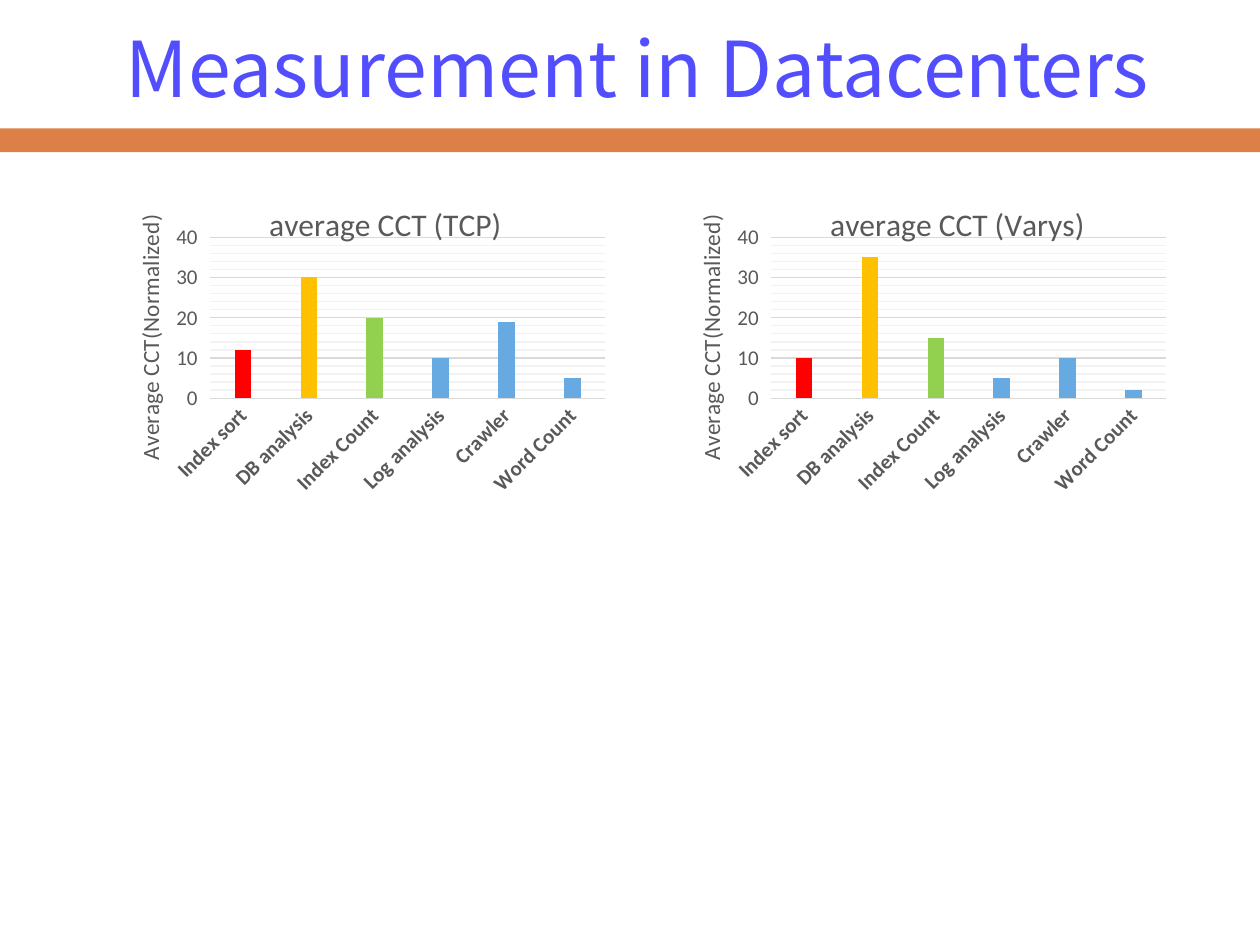
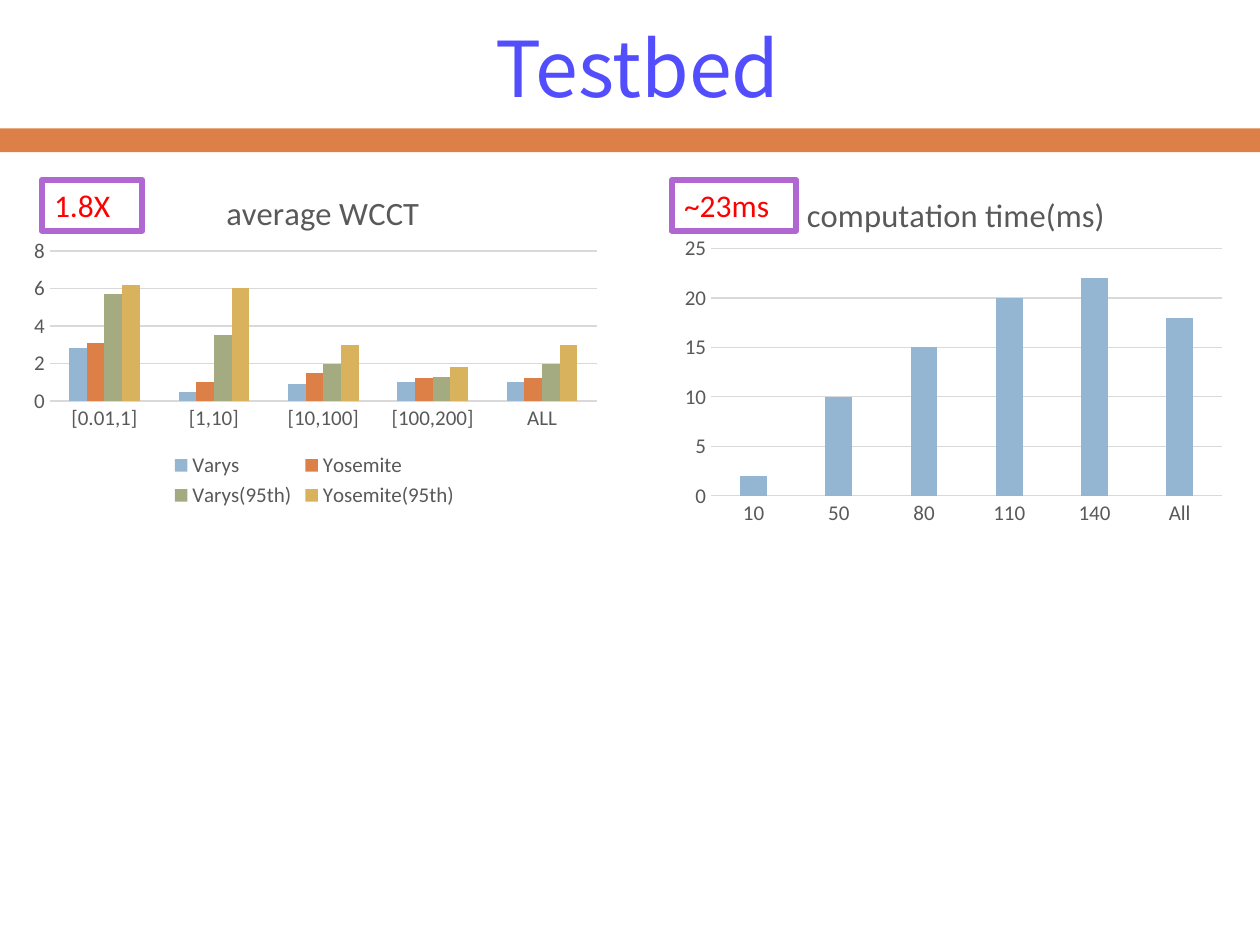
from dataclasses import dataclass

import pptx
import pptx.chart.data
import pptx.dml.color
import pptx.enum.chart
import pptx.enum.shapes
import pptx.enum.text
import pptx.oxml
import pptx.oxml.ns
import pptx.util
from pptx.util import Cm


@dataclass(frozen=True)
class Theme:
    """Colours, fonts and type sizes shared by the slides."""

    title_font: str = "Noto Sans CJK SC"
    body_font: str = "Calibri"
    title: str = "534EFD"
    band: str = "DD8047"
    grey: str = "595959"
    grid: str = "D9D9D9"
    minor_grid: str = "F2F2F2"
    badge_line: str = "B167D2"
    badge_text: str = "FF0000"
    series: tuple = ("94B6D2", "DD8047", "A5AB81", "D8B25C")
    workloads: tuple = ("FF0000", "FFC000", "92D050", "67AAE1", "67AAE1", "67AAE1")
    title_size: float = 44
    badge_size: float = 18
    heading_size: float = 18.6
    workload_heading_size: float = 18
    axis_title_size: float = 13.3
    label_size: float = 12


THEME = Theme()


def rgb(value):
    """Turn a hex string into a colour."""
    return pptx.dml.color.RGBColor.from_string(value)


def style_font(font, size, color, name=THEME.body_font, bold=False):
    """Set the face, size, colour and weight of a font."""
    font.name, font.size, font.bold = name, pptx.util.Pt(size), bold
    font.color.rgb = rgb(color)


def add_run(p, text, size, color, name=THEME.body_font):
    """Append one styled run to a paragraph."""
    r = p.add_run()
    r.text = text
    style_font(r.font, size, color, name)


def style_line(line, color, width=0.75):
    """Set the colour and width in points of a line."""
    line.color.rgb = rgb(color)
    line.width = pptx.util.Pt(width)


def add_rect(slide, left, top, width, height):
    """Add a rectangle without a shadow, measured in centimetres."""
    sp = slide.shapes.add_shape(
        pptx.enum.shapes.MSO_SHAPE.RECTANGLE, Cm(left), Cm(top), Cm(width), Cm(height)
    )
    sp.shadow.inherit = False
    return sp


def add_titled_slide(prs, title):
    """Add a blank slide with the shared band and title."""
    slide = prs.slides.add_slide(prs.slide_layouts[6])
    band = add_rect(slide, 0, 2.59, 25.4, 0.48)
    band.fill.solid()
    band.fill.fore_color.rgb = rgb(THEME.band)
    band.line.fill.background()
    tf = slide.shapes.add_textbox(Cm(0.84), Cm(0.36), Cm(24.03), Cm(1.96)).text_frame
    tf.word_wrap = True
    tf.vertical_anchor = pptx.enum.text.MSO_ANCHOR.MIDDLE
    p = tf.paragraphs[0]
    p.alignment = pptx.enum.text.PP_ALIGN.CENTER
    add_run(p, title, THEME.title_size, THEME.title, THEME.title_font)
    return slide


def add_badge(slide, text, left, width):
    """Add an outlined result badge."""
    sp = add_rect(slide, left, 3.63, width, 1.02)
    sp.fill.background()
    style_line(sp.line, THEME.badge_line, 3.5)
    tf = sp.text_frame
    tf.word_wrap = True
    tf.vertical_anchor = pptx.enum.text.MSO_ANCHOR.TOP
    p = tf.paragraphs[0]
    p.alignment = pptx.enum.text.PP_ALIGN.LEFT
    add_run(p, text, THEME.badge_size, THEME.badge_text)


def place(element, **fractions):
    """Give a chart title or plot area a manual layout."""
    qn = pptx.oxml.ns.qn
    old = element.find(qn("c:layout"))
    if old is not None:
        element.remove(old)
    target = '<c:layoutTarget val="inner"/>' if "w" in fractions else ""
    modes = "".join(f'<c:{k}Mode val="edge"/>' for k in "xy")
    values = "".join(f'<c:{k} val="{v}"/>' for k, v in fractions.items())
    layout = pptx.oxml.parse_xml(
        f"<c:layout {pptx.oxml.ns.nsdecls('c')}><c:manualLayout>"
        f"{target}{modes}{values}</c:manualLayout></c:layout>"
    )
    element.insert(0 if element.find(qn("c:tx")) is None else 1, layout)


def rotate(body, degrees):
    """Turn the text of a chart element."""
    body.set("rot", str(degrees * 60000))
    body.set("vert", "horz")


def set_title(title, text, size, x, y):
    """Write and position a chart or axis title."""
    add_run(title.text_frame.paragraphs[0], text, size, THEME.grey)
    place(title._element, x=x, y=y)


def add_minor_gridlines(axis, unit):
    """Show pale minor gridlines at the given spacing."""
    axis.minor_unit = unit
    axis.has_minor_gridlines = True
    axis._element.find(pptx.oxml.ns.qn("c:minorGridlines")).append(pptx.oxml.parse_xml(
        f"<c:spPr {pptx.oxml.ns.nsdecls('c', 'a')}><a:ln w=\"{pptx.util.Pt(0.75)}\">"
        f'<a:solidFill><a:srgbClr val="{THEME.minor_grid}"/></a:solidFill></a:ln></c:spPr>'
    ))


def add_column_chart(slide, box, categories, series, plot, top, step, gap, overlap=0):
    """Add a column chart with the shared axis style."""
    data = pptx.chart.data.CategoryChartData()
    data.categories = categories
    for name, values in series.items():
        data.add_series(name, values)
    chart = slide.shapes.add_chart(
        pptx.enum.chart.XL_CHART_TYPE.COLUMN_CLUSTERED, *map(Cm, box), data
    ).chart
    style_font(chart.font, THEME.label_size, THEME.grey)
    chart.has_title = chart.has_legend = False
    columns = chart.plots[0]
    columns.vary_by_categories = False
    columns.gap_width, columns.overlap = gap, overlap
    for s, color in zip(columns.series, THEME.series):
        s.invert_if_negative = False
        s.format.fill.solid()
        s.format.fill.fore_color.rgb = rgb(color)
    for axis in (chart.category_axis, chart.value_axis):
        axis.major_tick_mark = pptx.enum.chart.XL_TICK_MARK.NONE
        axis.minor_tick_mark = pptx.enum.chart.XL_TICK_MARK.NONE
        style_font(axis.tick_labels.font, THEME.label_size, THEME.grey)
    style_line(chart.category_axis.format.line, THEME.grid)
    axis = chart.value_axis
    axis.format.line.fill.background()
    axis.minimum_scale, axis.maximum_scale, axis.major_unit = 0, top, step
    style_line(axis.major_gridlines.format.line, THEME.grid)
    place(chart._chartSpace.chart.plotArea, **dict(zip("xywh", plot)))
    return chart


def add_workload_chart(slide, left, heading, values):
    """Add a chart of completion times, one colour per workload."""
    categories = ("Index sort", "DB analysis", "Index Count",
                  "Log analysis", "Crawler", "Word Count")
    chart = add_column_chart(
        slide, (left, 3.84, 10.77, 6.76), categories, {"Series 1": values},
        plot=(0.2, 0.14, 0.74, 0.48), top=40, step=10, gap=300,
    )
    for i, color in enumerate(THEME.workloads):
        fill = chart.plots[0].series[0].points[i].format.fill
        fill.solid()
        fill.fore_color.rgb = rgb(color)
    cat, val = chart.category_axis, chart.value_axis
    cat.tick_labels.font.bold = True
    rotate(cat._element.txPr.bodyPr, -45)
    set_title(cat.axis_title, heading, THEME.workload_heading_size, 0.3, 0.02)
    set_title(val.axis_title, "Average CCT(Normalized)", THEME.axis_title_size, 0.05, 0.06)
    rotate(val.axis_title.text_frame._txBody.bodyPr, -90)
    val.major_tick_mark = pptx.enum.chart.XL_TICK_MARK.OUTSIDE
    add_minor_gridlines(val, 2)


def add_legend(chart):
    """Add a legend below the plot."""
    chart.has_legend = True
    legend = chart.legend
    legend.position = pptx.enum.chart.XL_LEGEND_POSITION.BOTTOM
    legend.include_in_layout = False
    style_font(legend.font, THEME.label_size, THEME.grey)


def build_measurement(prs):
    """Build the slide on datacenter measurements."""
    slide = add_titled_slide(prs, "Measurement in Datacenters")
    add_workload_chart(slide, 2.08, "average CCT (TCP)", (12, 30, 20, 10, 19, 5))
    add_workload_chart(slide, 13.39, "average CCT (Varys)", (10, 35, 15, 5, 10, 2))


def build_testbed(prs):
    """Build the slide on testbed results."""
    slide = add_titled_slide(prs, "Testbed")
    wcct = add_column_chart(
        slide, (0.41, 3.3, 11.86, 7.04),
        ("[0.01,1]", "[1,10]", "[10,100]", "[100,200]", "ALL"),
        {
            "Varys": (2.8, 0.5, 0.9, 1, 1),
            "Yosemite": (3.1, 1, 1.5, 1.2, 1.2),
            "Varys(95th)": (5.7, 3.5, 2, 1.3, 2),
            "Yosemite(95th)": (6.2, 6, 3, 1.8, 3),
        },
        plot=(0.05, 0.25, 0.93, 0.43), top=8, step=2, gap=219,
    )
    set_title(wcct.chart_title, "average WCCT", THEME.heading_size, 0.34, 0.06)
    add_legend(wcct)
    computation = add_column_chart(
        slide, (13.54, 3.3, 11.33, 7.44), ("10", "50", "80", "110", "140", "All"),
        {"Series 1": (2, 10, 15, 20, 22, 18)},
        plot=(0.07, 0.23, 0.91, 0.67), top=25, step=5, gap=219, overlap=-27,
    )
    set_title(computation.chart_title, "computation time(ms)", THEME.heading_size, 0.23, 0.06)
    add_badge(slide, "1.8X", 0.84, 2.03)
    add_badge(slide, "~23ms", 13.54, 2.51)


def main():
    """Build and save the presentation."""
    prs = pptx.Presentation()
    prs.slide_width, prs.slide_height = Cm(25.4), Cm(19.05)
    build_measurement(prs)
    build_testbed(prs)
    prs.save("out.pptx")


if __name__ == "__main__":
    main()
